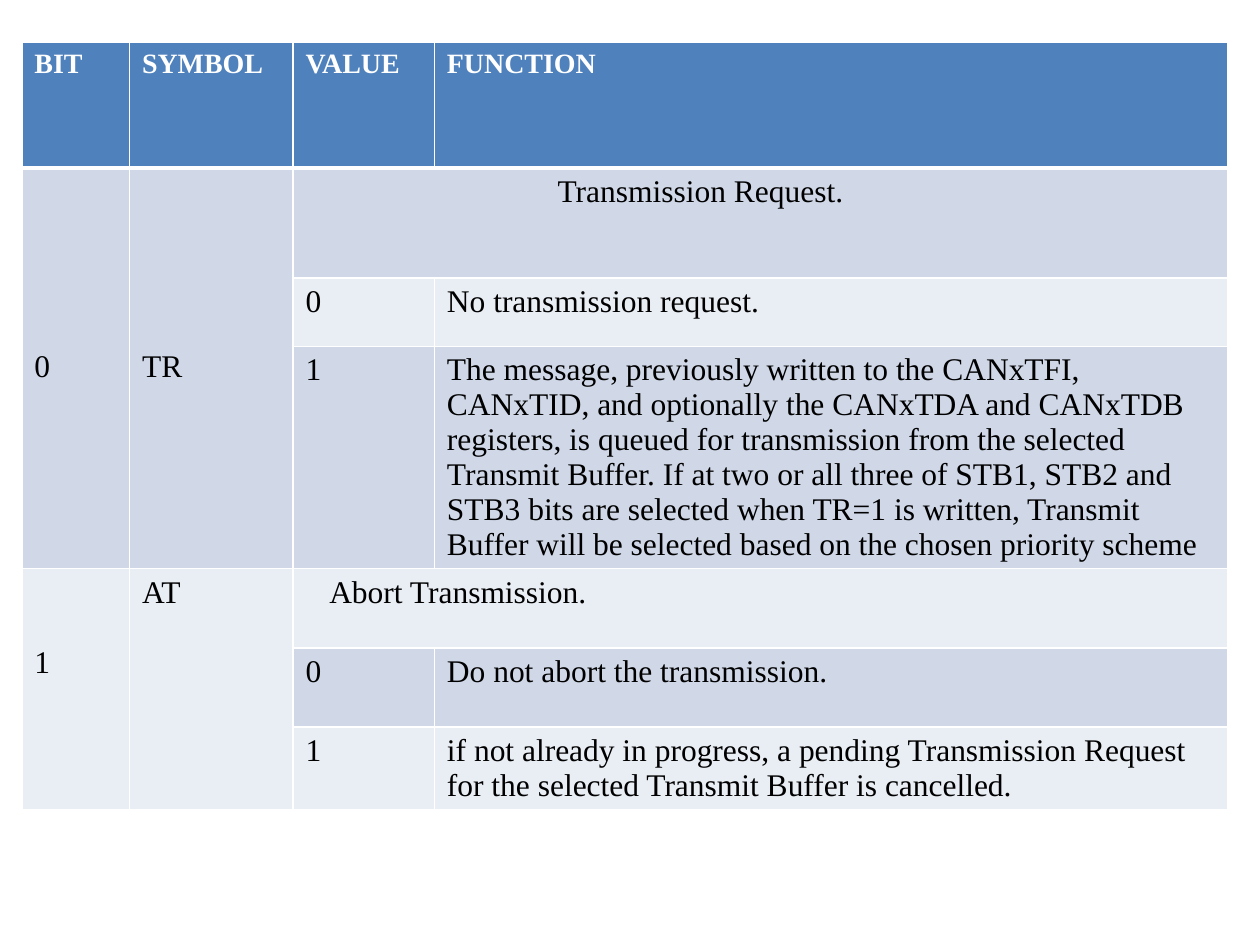
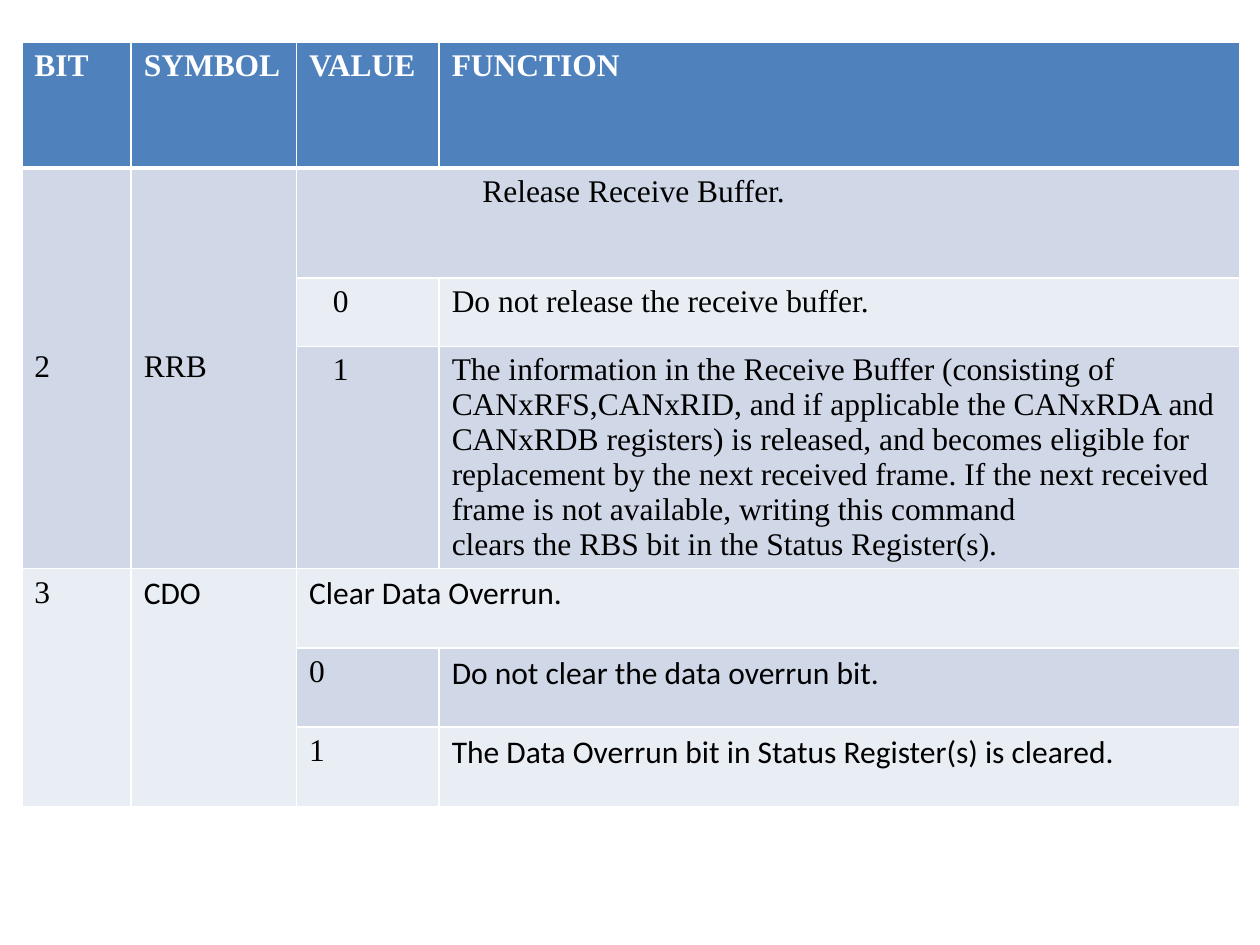
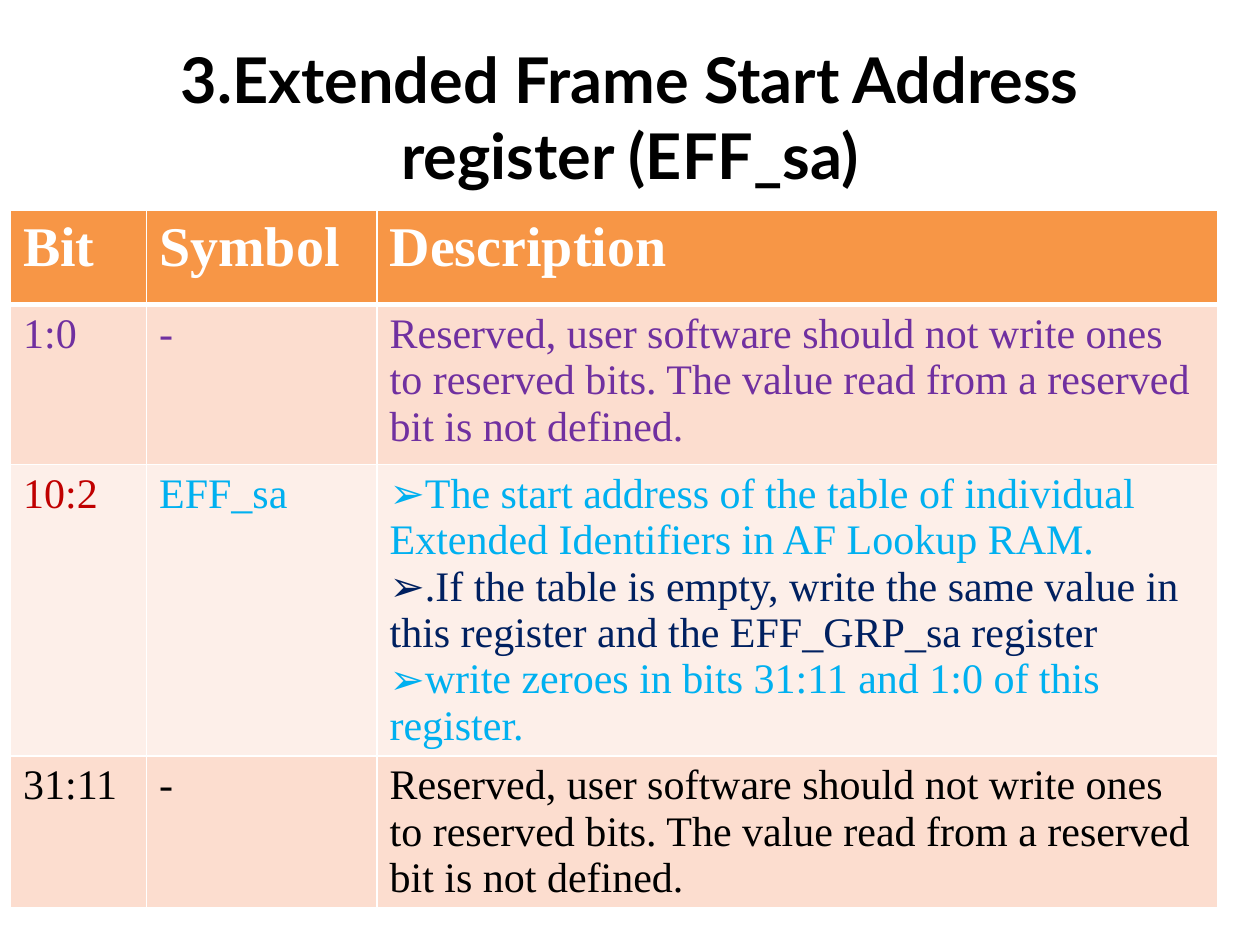
from lxml import etree
from pptx import Presentation
from pptx.dml.color import RGBColor
from pptx.enum.text import MSO_ANCHOR, MSO_AUTO_SIZE, PP_ALIGN
from pptx.oxml.ns import qn
from pptx.util import Pt

SERIF, SANS, TITLE_FONT = "Times New Roman", "Calibri", "Lato"
BLACK, WHITE = "000000", "FFFFFF"
PURPLE, RED, SKY, NAVY = "7030A0", "C00000", "00B0F0", "002060"
BLUE_THEME = {"header": "4F81BD", "bands": ("D0D8E8", "E9EDF4")}
ORANGE_THEME = {"header": "F79646", "bands": ("FCDDCF", "FDEFE9")}
MARGIN_X, MARGIN_Y = 7.2, 3.6
BODY_LINE = 20

COMMAND_HEADER = ("BIT", "SYMBOL", "VALUE", "FUNCTION")
COMMAND_PAGES = [
    {
        "header_size": 16,
        "columns": (61.5, 93.5, 80.75, 453.5),
        "rows": (72, 63, 39, 127, 45.3, 45.3, 47),
        "commands": [
            {"bit": "0", "symbol": "TR", "bit_drop": 5, "symbol_drop": 5,
             "heading": "Transmission Request.", "heading_indent": 144,
             "values": [
                 ("0", "No transmission request."),
                 ("1", "The message, previously written to the CANxTFI, CANxTID, and "
                       "optionally the CANxTDA and CANxTDB registers, is queued for "
                       "transmission from the selected Transmit Buffer. If at two or all "
                       "three of STB1, STB2 and STB3 bits are selected when TR=1 is "
                       "written, Transmit Buffer will be selected based on the chosen "
                       "priority scheme")]},
            {"bit": "1", "symbol": "AT", "bit_drop": 2,
             "heading": "Abort Transmission.", "heading_indent": 13.5,
             "values": [
                 ("0", "Do not abort the transmission."),
                 ("1", "if not already in progress, a pending Transmission Request for "
                       "the selected Transmit Buffer is cancelled.")]},
        ],
    },
    {
        "header_size": 18,
        "columns": (62.5, 94.5, 81.5, 457.5),
        "rows": (72, 63, 39, 127, 45.3, 45.3, 45.3),
        "commands": [
            {"bit": "2", "symbol": "RRB", "bit_drop": 5, "symbol_drop": 5,
             "heading": "Release Receive Buffer.", "heading_indent": 99,
             "value_indent": 13.5,
             "values": [
                 ("0", "Do not release the receive buffer."),
                 ("1", "The information in the Receive Buffer (consisting of "
                       "CANxRFS,CANxRID, and if applicable the CANxRDA and CANxRDB "
                       "registers) is released, and becomes eligible for replacement by "
                       "the next received frame. If the next received frame is not "
                       "available, writing this command\n"
                       "clears the RBS bit in the Status Register(s).")]},
            {"bit": "3", "symbol": "CDO", "font": SANS,
             "heading": "Clear Data Overrun.",
             "values": [
                 ("0", "Do not clear the data overrun bit."),
                 ("1", "The Data Overrun bit in Status Register(s) is cleared.")]},
        ],
    },
]

ADDRESS_TITLE = "3.Extended Frame Start Address register (EFF_sa)"
ADDRESS_HEADER = ("Bit", "Symbol", "Description")
ADDRESS_COLUMNS = (77.75, 131.75, 480.25)
ADDRESS_ROWS = (54, 91.5, 166.5, 86)
RESERVED = ("Reserved, user software should not write ones to reserved bits. "
            "The value read from a reserved bit is not defined.")
ADDRESS_FIELDS = [
    [("1:0", PURPLE), ("-", PURPLE), (RESERVED, PURPLE)],
    [("10:2", RED), ("EFF_sa", SKY), [
        ("The start address of the table of individual Extended Identifiers in "
         "AF Lookup RAM.", SKY),
        (".If the table is empty, write the same value in this register and the "
         "EFF_GRP_sa register", NAVY),
        ("write zeroes in bits 31:11 and 1:0 of this register.", SKY)]],
    [("31:11", BLACK), ("-", BLACK), (RESERVED, BLACK)],
]


def rgb(colour):
    return RGBColor.from_string(colour)


def style_font(font, colour, **formats):
    for attribute, value in formats.items():
        setattr(font, attribute, value)
    font.color.rgb = rgb(colour)


def set_borders(cell, bottom):
    """Draw white cell edges, which must come before the fill in the XML."""
    properties = cell._tc.get_or_add_tcPr()
    edges = {"lnL": 1, "lnR": 1, "lnT": 1, "lnB": bottom}
    for place, (edge, width) in enumerate(edges.items()):
        line = etree.Element(qn("a:" + edge), w=str(Pt(width)))
        fill = etree.SubElement(line, qn("a:solidFill"))
        etree.SubElement(fill, qn("a:srgbClr"), val=WHITE)
        properties.insert(place, line)


def add_bullet(paragraph):
    properties = paragraph._p.get_or_add_pPr()
    properties.set("marL", "0")
    properties.set("indent", "0")
    etree.SubElement(properties, qn("a:buFont"), typeface="Arial")
    etree.SubElement(properties, qn("a:buChar"), char="➢")


def write_cell(cell, text, size=18, colour=BLACK, font=SERIF, bold=False,
               indent=0, drop=0, bulleted=False):
    """Fill a cell with text, or with (text, colour) paragraphs; drop counts body lines."""
    parts = [(line, colour) for line in text.split("\n")] if isinstance(text, str) else text
    cell.margin_left = Pt(MARGIN_X + indent)
    cell.margin_top = Pt(MARGIN_Y + drop * BODY_LINE)
    frame = cell.text_frame
    for number, (line, line_colour) in enumerate(parts):
        paragraph = frame.add_paragraph() if number else frame.paragraphs[0]
        if bulleted:
            add_bullet(paragraph)
        run = paragraph.add_run()
        run.text = line
        style_font(run.font, line_colour, name=font, size=Pt(size), bold=bold)


def add_grid(slide, left, top, columns, rows, header, header_size, theme):
    """Add a banded table with its header row written."""
    grid = slide.shapes.add_table(len(rows), len(columns), Pt(left), Pt(top),
                                  Pt(sum(columns)), Pt(sum(rows))).table
    for column, width in zip(grid.columns, columns):
        column.width = Pt(width)
    for number, (row, height) in enumerate(zip(grid.rows, rows)):
        row.height = Pt(height)
        fill = theme["bands"][(number - 1) % 2] if number else theme["header"]
        for cell in row.cells:
            cell.fill.solid()
            cell.fill.fore_color.rgb = rgb(fill)
            set_borders(cell, bottom=1 if number else 3)
    for cell, label in zip(grid.rows[0].cells, header):
        write_cell(cell, label, size=header_size, colour=WHITE, bold=True)
    return grid


def write_command(grid, top, command):
    """Write one command: bit and symbol span its rows, the heading spans two columns."""
    last = top + len(command["values"])
    font = command.get("font", SERIF)
    for column, key in enumerate(("bit", "symbol")):
        cell = grid.cell(top, column)
        cell.merge(grid.cell(last, column))
        write_cell(cell, command[key], drop=command.get(key + "_drop", 0),
                   font=font if key == "symbol" else SERIF)
    heading = grid.cell(top, 2)
    heading.merge(grid.cell(top, 3))
    write_cell(heading, command["heading"], font=font,
               indent=command.get("heading_indent", 0))
    for row, (value, function) in enumerate(command["values"], top + 1):
        write_cell(grid.cell(row, 2), value, indent=command.get("value_indent", 0))
        write_cell(grid.cell(row, 3), function, font=font)
    return last + 1


def add_command_slide(deck, page):
    slide = deck.slides.add_slide(deck.slide_layouts[6])
    grid = add_grid(slide, 12.5, 24, page["columns"], page["rows"],
                    COMMAND_HEADER, page["header_size"], BLUE_THEME)
    top = 1
    for command in page["commands"]:
        top = write_command(grid, top, command)


def add_address_slide(deck):
    slide = deck.slides.add_slide(deck.slide_layouts[5])
    title = slide.shapes.title
    title.left, title.top, title.width, title.height = map(Pt, (36, 21.6, 648, 90))
    frame = title.text_frame
    frame.text = ADDRESS_TITLE
    frame.word_wrap = True
    frame.auto_size = MSO_AUTO_SIZE.NONE
    frame.vertical_anchor = MSO_ANCHOR.MIDDLE
    frame.paragraphs[0].alignment = PP_ALIGN.CENTER
    style_font(frame.paragraphs[0].runs[0].font, BLACK,
               name=TITLE_FONT, size=Pt(36), bold=True)

    grid = add_grid(slide, 6, 120, ADDRESS_COLUMNS, ADDRESS_ROWS,
                    ADDRESS_HEADER, 32, ORANGE_THEME)
    for row, field in enumerate(ADDRESS_FIELDS, 1):
        for column, part in enumerate(field):
            bulleted = isinstance(part, list)
            write_cell(grid.cell(row, column), part if bulleted else [part],
                       size=24, bulleted=bulleted)


def main():
    deck = Presentation()
    deck.slide_width, deck.slide_height = Pt(720), Pt(540)
    for page in COMMAND_PAGES:
        add_command_slide(deck, page)
    add_address_slide(deck)
    deck.save("out.pptx")


if __name__ == "__main__":
    main()
